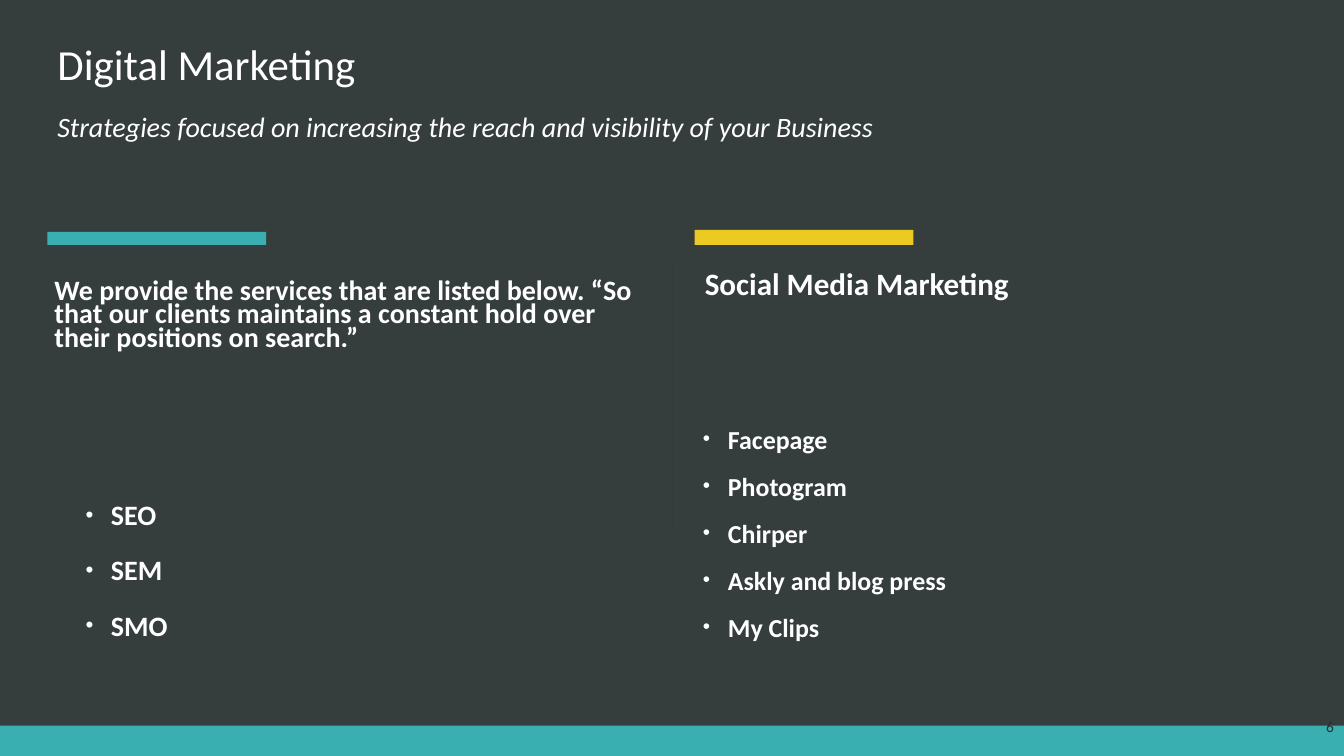
from lxml import etree
from pptx import Presentation
from pptx.dml.color import RGBColor
from pptx.enum.shapes import MSO_CONNECTOR, MSO_SHAPE
from pptx.enum.text import MSO_ANCHOR, MSO_AUTO_SIZE, PP_ALIGN
from pptx.oxml.ns import qn
from pptx.util import Inches, Pt

RECT, STRAIGHT = MSO_SHAPE.RECTANGLE, MSO_CONNECTOR.STRAIGHT
TOP, MIDDLE, BOTTOM = MSO_ANCHOR.TOP, MSO_ANCHOR.MIDDLE, MSO_ANCHOR.BOTTOM
LEFT, RIGHT = PP_ALIGN.LEFT, PP_ALIGN.RIGHT
NO_FIT = MSO_AUTO_SIZE.NONE

# Content
TITLE = "Digital Marketing"
SUBTITLE = "Strategies focused on increasing the reach and visibility of your Business"
INTRO = ("We provide the services that are listed below. “So that our clients "
         "maintains a constant hold over their positions on search.”")
SERVICES = ["SEO", "SEM", "SMO"]
SOCIAL_TITLE = "Social Media Marketing"
SOCIAL = ["Facepage", "Photogram", "Chirper", "Askly and blog press", "My Clips"]
PAGE = "6"

COLORS = {"bg": "363D3D", "teal": "3AAFB2", "yellow": "EBCA21",
          "white": "FFFFFF", "divider": "333A3A", "page": "282E2E"}
FONT = "Calibri"
COMPARISON = 4  # layout with a title and four bodies
W, H = 13.33, 7.5
MARGIN, RIGHT_COL, FOOTER_H = 0.47, 6.89, 0.3
BAR_W = 2.17


def color(name):
    return RGBColor.from_string(COLORS[name])


def add_bar(x, y, w, h, fill):
    sp = s.shapes.add_shape(RECT, *map(Inches, (x, y, w, h)))
    sp.shadow.inherit = False
    sp.fill.solid()
    sp.fill.fore_color.rgb = color(fill)
    sp.line.fill.background()


def set_bullet(p, bulleted):
    pPr = p._p.get_or_add_pPr()
    pPr.set("marL", str(Inches(0.3) if bulleted else 0))
    pPr.set("indent", str(Inches(-0.25) if bulleted else 0))
    if bulleted:
        etree.SubElement(pPr, qn("a:buSzPct")).set("val", "80000")
        etree.SubElement(pPr, qn("a:buFont")).set("typeface", "Arial")
        etree.SubElement(pPr, qn("a:buChar")).set("char", "•")
    else:
        etree.SubElement(pPr, qn("a:buNone"))


def write(sp, box, lines, size, spacing=1.0, before=0, anchor=TOP,
          align=LEFT, fill="white", bold=False, italic=False, bulleted=False):
    sp.left, sp.top, sp.width, sp.height = map(Inches, box)
    tf = sp.text_frame
    for name, value in {"word_wrap": True, "auto_size": NO_FIT,
                        "vertical_anchor": anchor}.items():
        setattr(tf, name, value)
    for i, line in enumerate(lines):
        p = tf.add_paragraph() if i else tf.paragraphs[0]
        for name, value in {"alignment": align, "line_spacing": spacing,
                            "space_before": Pt(before)}.items():
            setattr(p, name, value)
        set_bullet(p, bulleted)
        r = p.add_run()
        r.text = line
        for name, value in {"name": FONT, "size": Pt(size), "bold": bold,
                            "italic": italic}.items():
            setattr(r.font, name, value)
        r.font.color.rgb = color(fill)


def add_text_box():
    return s.shapes.add_textbox(0, 0, 0, 0)


# Slide and background
prs = Presentation()
prs.slide_width, prs.slide_height = Inches(W), Inches(H)
s = prs.slides.add_slide(prs.slide_layouts[COMPARISON])
s.background.fill.solid()
s.background.fill.fore_color.rgb = color("bg")

# Footer band and column accents
add_bar(0, H - FOOTER_H, W, FOOTER_H, "teal")
add_bar(MARGIN, 2.3, BAR_W, 0.13, "teal")
add_bar(RIGHT_COL, 2.28, BAR_W, 0.15, "yellow")

# Divider between the columns
divider = s.shapes.add_connector(
    STRAIGHT, *map(Inches, (W / 2, 2.58, W / 2, 5.22)))
divider.line.color.rgb = color("divider")
divider.line.width = Pt(0.5)
etree.SubElement(divider._element.spPr, qn("a:effectLst"))

# Heading
title, intro, services, social_title, social = s.placeholders
write(title, (MARGIN, 0.47, 12.4, 0.47), [TITLE], 30.6, 0.9, anchor=BOTTOM)
write(add_text_box(), (MARGIN, 1.1, 12.4, 0.39), [SUBTITLE], 20, 0.8, 18,
      italic=True)

# Left column
write(intro, (0.44, 2.74, 5.98, 0.39), [INTRO], 20, 0.7, 18, bold=True)
write(services, (0.7, 4.92, 1.61, 1.55), SERVICES, 20, 0.9, 18,
      bold=True, bulleted=True)

# Right column
write(social_title, (RIGHT_COL, 2.67, 5.98, 0.39), [SOCIAL_TITLE], 22.2, 0.7,
      18, bold=True)
write(social, (6.82, 4.24, 4.26, 2.23), SOCIAL, 18.5, 0.7, 18,
      bold=True, bulleted=True)

# Page number
write(add_text_box(), (W - 0.47, 6.97, 0.47, 0.47), [PAGE], 11,
      anchor=MIDDLE, align=RIGHT, fill="page")

prs.save("out.pptx")
